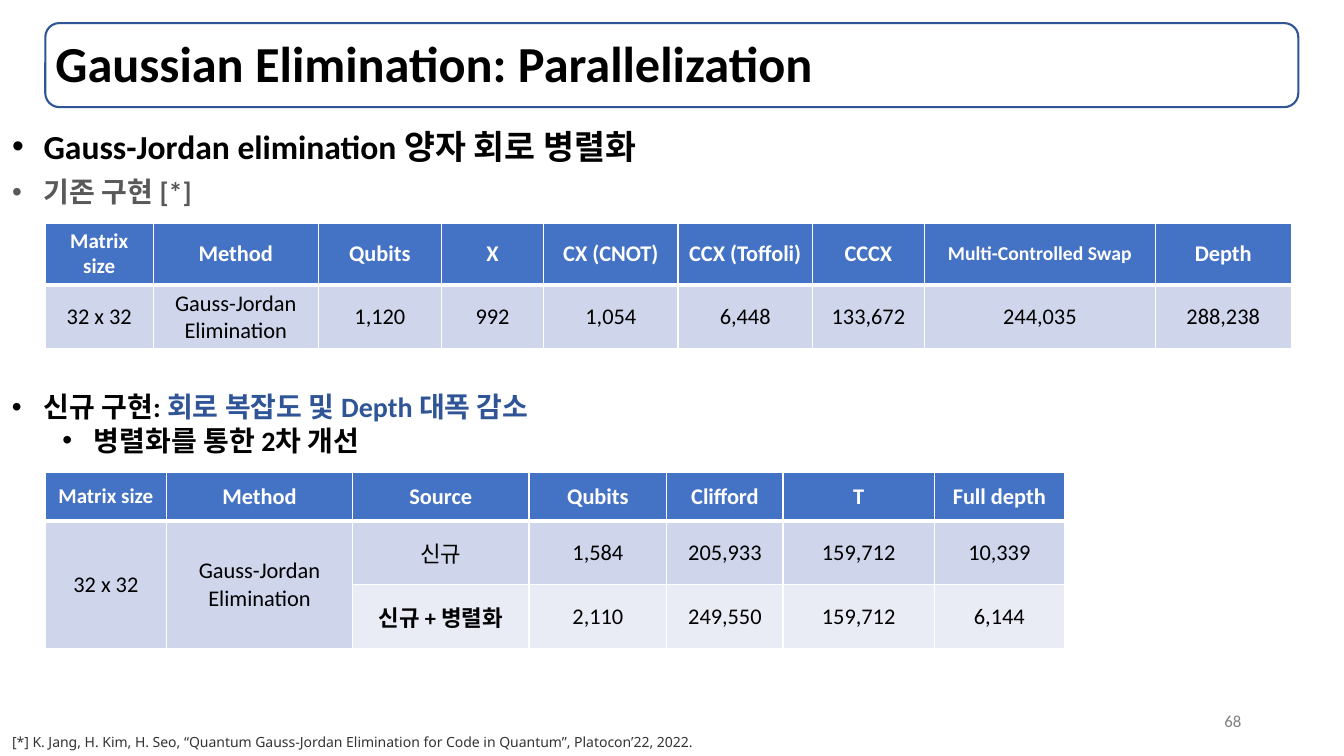
from lxml.etree import SubElement
from pptx import Presentation
from pptx.dml.color import RGBColor
from pptx.enum.shapes import MSO_SHAPE
from pptx.enum.text import MSO_ANCHOR, MSO_AUTO_SIZE, PP_ALIGN
from pptx.oxml.ns import qn
from pptx.util import Pt

BLACK = RGBColor(0, 0, 0)
WHITE = RGBColor(0xFF, 0xFF, 0xFF)
NAVY = RGBColor(0x2F, 0x55, 0x97)
GRAY = RGBColor(0x59, 0x59, 0x59)
PAGE_GRAY = RGBColor(0x80, 0x80, 0x80)
CITE_GRAY = RGBColor(0x33, 0x33, 0x33)
HEADER_BLUE = RGBColor(0x44, 0x72, 0xC4)
BANDS = [RGBColor(0xCF, 0xD5, 0xEA), RGBColor(0xE9, 0xEB, 0xF5)]

BULLET_HANG = 22.5
MARGIN = 32.4
BASELINE = [
    ["Matrix size", "Method", "Qubits", "X", "CX (CNOT)", "CCX (Toffoli)",
     "CCCX", "Multi-Controlled Swap", "Depth"],
    ["32 x 32", "Gauss-Jordan Elimination", "1,120", "992", "1,054", "6,448",
     "133,672", "244,035", "288,238"],
]
IMPROVED = [
    ["Matrix size", "Method", "Source", "Qubits", "Clifford", "T", "Full depth"],
    ["32 x 32", "Gauss-Jordan Elimination", "신규", "1,584", "205,933",
     "159,712", "10,339"],
    ["", "", "신규 + 병렬화", "2,110", "249,550", "159,712", "6,144"],
]
HEADER_SIZES = {"Matrix size": 15, "Multi-Controlled Swap": 14}
BOLD_CELLS = {"신규 + 병렬화"}


def add_run(p, text, size=20, color=BLACK, bold=False, font="Calibri"):
    r = p.add_run()
    r.text = text
    r.font.name = font
    r.font.size = Pt(size)
    r.font.bold = bold
    r.font.color.rgb = color


def add_box(s, left, top, width, height):
    tf = s.shapes.add_textbox(Pt(left), Pt(top), Pt(width), Pt(height)).text_frame
    tf.word_wrap = True
    return tf


def add_bullets(tf, items):
    """Each item is (left indent, space before, [(text, format), ...])."""
    for i, (indent, before, runs) in enumerate(items):
        p = tf.add_paragraph() if i else tf.paragraphs[0]
        pPr = p._p.get_or_add_pPr()
        pPr.set("marL", str(Pt(indent)))
        pPr.set("indent", str(-Pt(BULLET_HANG)))
        p.space_before = Pt(before)
        SubElement(pPr, qn("a:buFont"), typeface="Arial")
        SubElement(pPr, qn("a:buChar"), char="•")
        for text, fmt in runs:
            add_run(p, text, bold=True, **fmt)


def set_borders(cell, top, bottom):
    tcPr = cell._tc.get_or_add_tcPr()
    for side, width in (("L", 1), ("R", 1), ("T", top), ("B", bottom)):
        ln = SubElement(tcPr, qn(f"a:ln{side}"), w=str(Pt(width)))
        fill = SubElement(ln, qn("a:solidFill"))
        SubElement(fill, qn("a:srgbClr"), val=str(WHITE))


def add_data_table(s, top, widths, heights, rows):
    table = s.shapes.add_table(len(rows), len(widths), Pt(MARGIN), Pt(top),
                               Pt(sum(widths)), Pt(sum(heights))).table
    for column, width in zip(table.columns, widths):
        column.width = Pt(width)
    for i, (row, height) in enumerate(zip(rows, heights)):
        table.rows[i].height = Pt(height)
        for j, text in enumerate(row):
            cell = table.cell(i, j)
            set_borders(cell, 3 if i == 1 else 1, 1 if i else 3)
            cell.fill.solid()
            cell.fill.fore_color.rgb = BANDS[(i - 1) % 2] if i else HEADER_BLUE
            cell.vertical_anchor = MSO_ANCHOR.MIDDLE
            p = cell.text_frame.paragraphs[0]
            p.alignment = PP_ALIGN.CENTER
            if not text:
                continue
            if i:
                add_run(p, text, size=16, bold=text in BOLD_CELLS)
            else:
                add_run(p, text, size=HEADER_SIZES.get(text, 16), color=WHITE, bold=True)
    return table


def add_title(s, text):
    frame = s.shapes.add_shape(MSO_SHAPE.ROUNDED_RECTANGLE, Pt(MARGIN), Pt(16.5),
                               Pt(895), Pt(60))
    frame.shadow.inherit = False
    frame.fill.background()
    frame.line.color.rgb = NAVY
    frame.line.width = Pt(1.5)

    title = s.shapes.title
    title.left, title.top, title.width, title.height = Pt(MARGIN), Pt(17), Pt(895), Pt(60)
    tf = title.text_frame
    tf.auto_size = MSO_AUTO_SIZE.NONE
    tf.vertical_anchor = MSO_ANCHOR.MIDDLE
    p = tf.paragraphs[0]
    p.alignment = PP_ALIGN.LEFT
    p.line_spacing = 0.9
    add_run(p, text, size=36, bold=True)


def main():
    prs = Presentation()
    prs.slide_width, prs.slide_height = Pt(960), Pt(540)
    s = prs.slides.add_slide(prs.slide_layouts[5])

    add_title(s, "Gaussian Elimination: Parallelization")
    add_bullets(add_box(s, 1.5, 86.4, 957, 70), [
        (BULLET_HANG, 0, [("Gauss-Jordan elimination 양자 회로 병렬화", {"size": 24})]),
        (BULLET_HANG, 6, [("기존 구현 [*]", {"color": GRAY})]),
    ])
    add_data_table(s, 159.4, [77, 118, 88, 73, 96, 96, 80, 165, 97], [44, 45.5], BASELINE)

    add_bullets(add_box(s, 1.5, 275, 811, 55.5), [
        (BULLET_HANG, 0, [("신규 구현: ", {}),
                          ("회로 복잡도 및 Depth 대폭 감소", {"color": NAVY})]),
        (58.5, 0, [("병렬화를 통한 2차 개선", {})]),
    ])
    improved = add_data_table(s, 337.3, [86.5, 133, 126, 98.5, 83, 108, 93],
                              [35, 45.5, 45.5], IMPROVED)
    for j in range(2):
        improved.cell(1, j).merge(improved.cell(2, j))

    citation = add_box(s, 1.5, 520.5, 519, 19.5)
    add_run(citation.paragraphs[0],
            "[*] K. Jang, H. Kim, H. Seo, “Quantum Gauss-Jordan Elimination for Code "
            "in Quantum”, Platocon’22, 2022.",
            size=10, color=CITE_GRAY, font="Noto Sans")
    page = add_box(s, 867.5, 504, 30, 29)
    add_run(page.paragraphs[0], "68", size=12, color=PAGE_GRAY)

    prs.save("out.pptx")


if __name__ == "__main__":
    main()
